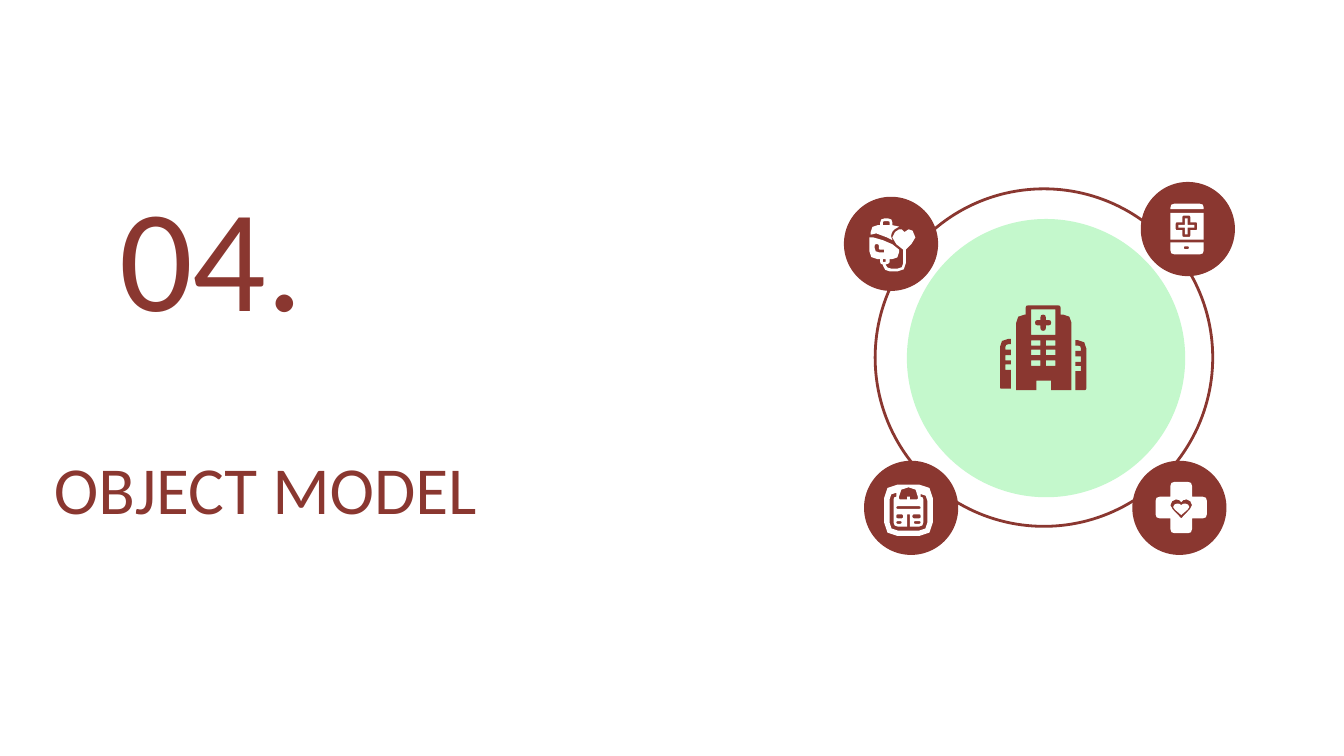
from dataclasses import dataclass
from itertools import product

from pptx import Presentation
from pptx.dml.color import RGBColor
from pptx.enum.shapes import MSO_SHAPE
from pptx.enum.text import MSO_ANCHOR
from pptx.util import Cm, Pt

BROWN, MINT, WHITE = "8A3730", "C4F8CC", "FFFFFF"
BADGE = 1.78


@dataclass
class Box:
    """A region of the slide in centimetres."""
    left: float
    top: float
    width: float
    height: float


def color(value):
    """Return the colour of a hex string."""
    return RGBColor.from_string(value)


def style(shape, fill=None, line=None):
    """Set the fill and line of a shape and remove its shadow."""
    shape.shadow.inherit = False
    if fill:
        shape.fill.solid()
        shape.fill.fore_color.rgb = color(fill)
    else:
        shape.fill.background()
    if line:
        shape.line.color.rgb = color(line)
        shape.line.width = Pt(1.5)
    else:
        shape.line.fill.background()


def add_circle(slide, box, fill=None, line=None):
    """Add an ellipse that fills the box."""
    shape = slide.shapes.add_shape(
        MSO_SHAPE.OVAL, Cm(box.left), Cm(box.top), Cm(box.width), Cm(box.height))
    style(shape, fill, line)


def toward(start, end, distance):
    """Return the point at a distance from start on the way to end."""
    x, y = end[0] - start[0], end[1] - start[1]
    share = distance / (x * x + y * y) ** 0.5
    return start[0] + x * share, start[1] + y * share


def smooth(corners):
    """Return an outline in which each corner with a radius is rounded."""
    points = []
    for index, (x, y, *radius) in enumerate(corners):
        if not radius:
            points.append((x, y))
            continue
        before = toward((x, y), corners[index - 1], radius[0])
        after = toward((x, y), corners[(index + 1) % len(corners)], radius[0])
        middle = tuple((a + 2 * b + c) / 4 for a, b, c in zip(before, (x, y), after))
        points += [before, middle, after]
    return points


def block(x, y, width, height, radius=0):
    """Return the corners of a rectangle."""
    rounding = (radius,) if radius else ()
    return [(x, y, *rounding), (x + width, y, *rounding),
            (x + width, y + height, *rounding), (x, y + height, *rounding)]


def cross(x, y, reach, arm, radius=0):
    """Return the corners of a cross around a centre, with rounded tips."""
    rounding = (radius,) if radius else ()
    corners, ahead, side = [], (0, -1), (1, 0)
    for _ in range(4):
        for along, across, *tip in ((reach, -arm, *rounding), (reach, arm, *rounding), (arm, arm)):
            corners.append((x + along * ahead[0] + across * side[0],
                            y + along * ahead[1] + across * side[1], *tip))
        ahead, side = side, (-ahead[0], -ahead[1])
    return corners


def heart(x, y, width, height):
    """Return the corners of a heart."""
    half = [(0.5, 0.14), (0.4, 0.03), (0.25, 0), (0.08, 0.09), (0, 0.3), (0.1, 0.52), (0.5, 1)]
    whole = half + [(1 - across, down) for across, down in half[-2:0:-1]]
    return [(x + width * across, y + height * down) for across, down in whole]


def add_outline(slide, box, columns, contours, fill):
    """Add one outline with holes on a square grid that spans the box width."""
    unit = box.width / columns
    builder = None
    for contour in contours:
        start, *rest = [(Cm(box.left + x * unit), Cm(box.top + y * unit))
                        for x, y in smooth(contour)]
        if builder is None:
            builder = slide.shapes.build_freeform(*start)
        else:
            builder.move_to(*start)
        builder.add_line_segments(rest, close=True)
    style(builder.convert_to_shape(), fill)


def draw_heart_cross(slide, box):
    """Draw the cross with a heart."""
    add_outline(slide, box, 38, [heart(13, 16, 12, 8.5)], WHITE)
    add_outline(slide, box, 38, [cross(19, 19, 19, 8, 3), heart(11, 13, 16, 14)], WHITE)


def draw_hospital(slide, box):
    """Draw the hospital building."""
    wing = [(0, 25, 6), (8, 25), (8, 29), (4, 29, 2), (4, 33), (8, 33), (8, 37), (4, 37),
            (4, 41), (8, 41), (8, 44), (4, 44), (4, 48), (8, 48), (8, 62), (0, 62, 1)]
    other_wing = [(64 - x, y + 1, *radius) for x, y, *radius in wing]
    tower = [(19, 0, 2), (45, 0, 2), (45, 7), (53, 7, 6), (53, 63), (38, 63), (38, 56),
             (27, 56), (27, 63), (12, 63), (12, 7, 6), (19, 7)]
    windows = [block(x, y, 7, 4) for x, y in product((23, 34), (26, 33, 41))]
    for contours in ([cross(32, 13, 6, 2, 2)], [wing], [other_wing],
                     [tower, block(23, 3, 18, 19)] + windows):
        add_outline(slide, box, 64, contours, BROWN)


def draw_phone(slide, box):
    """Draw the phone with a medical cross."""
    top = [(0, 0, 3), (25, 0, 3), (25, 4), (0, 4)]
    bottom = [(0, 29), (25, 29), (25, 38, 3), (0, 38, 3)]
    for contours in ([top], [cross(12, 17, 6, 1)], [bottom, block(10, 32, 4, 2, 1)],
                     [block(0, 7, 25, 20), cross(12, 17, 8, 3, 1)]):
        add_outline(slide, box, 25, contours, WHITE)


def draw_medical_bag(slide, box):
    """Draw the bag with a tube and a heart."""
    body = [(26, 10), (24, 8), (22, 8), (19, 10), (17, 14), (20, 19), (25, 23), (25, 37, 4),
            (13, 37, 3), (12, 34), (15, 33, 1), (15, 30), (22, 30, 5), (22, 23), (17, 19),
            (10, 16), (3, 14), (0, 14), (0, 30, 6), (8, 30), (8, 34, 2), (10, 34),
            (11, 39, 4), (27, 39, 6), (27, 23), (31, 19), (34, 14), (32, 9), (29, 8)]
    smile = [(4, 19, 1), (7, 19, 1), (7, 23, 1), (11, 23), (11, 25), (4, 25, 3)]
    lid = [(8, 0, 3), (17, 0, 3), (17, 5), (22, 6), (17, 9, 2), (16, 13), (17, 16),
           (13, 14), (5, 11), (1, 12), (1, 5, 5), (8, 5)]
    handle = [(10, 2, 1), (15, 2, 1), (15, 5), (10, 5)]
    add_outline(slide, box, 34, [body, smile, block(10, 30, 2, 2)], WHITE)
    add_outline(slide, box, 34, [lid, handle], WHITE)


def draw_scale(slide, box):
    """Draw the weighing scale."""
    dial = [(11, 2, 7), (25, 2, 7), (25, 11, 1), (19, 11), (19, 9), (17, 9), (17, 11),
            (11, 11, 1)]
    frame = [(9, 6), (9, 9), (7, 9, 2), (7, 31, 3), (17, 31), (17, 22), (19, 22), (19, 31),
             (29, 31, 3), (29, 9, 2), (27, 9), (27, 7), (32, 7, 5), (32, 34, 6),
             (4, 34, 6), (4, 6, 5)]
    bars = [block(*place, 1) for place in ((9, 16, 18, 2), (9, 22, 5, 3), (21, 22, 6, 3),
                                           (9, 27, 4, 2), (22, 27, 5, 2))]
    add_outline(slide, box, 36, [block(0, 0, 36, 38, 10), dial, frame] + bars, WHITE)


def draw_emblem(slide, box):
    """Draw the ring, the disc, the badges and the icons."""
    def part(x, y, width, height):
        """Return a box at an offset from the emblem."""
        return Box(box.left + x, box.top + y, width, height)

    add_circle(slide, box, line=BROWN)
    add_circle(slide, part(0.6, 0.57, 5.26, 5.26), MINT)
    for x, y in ((5.02, -0.13), (-0.59, 0.15), (4.86, 5.14), (-0.21, 5.14)):
        add_circle(slide, part(x, y, BADGE, BADGE), BROWN)
    draw_heart_cross(slide, part(5.3, 5.54, 0.97, 0.97))
    draw_hospital(slide, part(2.36, 2.2, 1.63, 1.6))
    draw_phone(slide, part(5.58, 0.28, 0.63, 0.97))
    draw_medical_bag(slide, part(-0.11, 0.56, 0.87, 0.99))
    draw_scale(slide, part(0.17, 5.59, 0.92, 0.97))


def add_heading(slide, box, text, size, anchor):
    """Add one heading in the box."""
    shape = slide.shapes.add_textbox(
        Cm(box.left), Cm(box.top), Cm(box.width), Cm(box.height))
    frame = shape.text_frame
    frame.word_wrap = True
    frame.vertical_anchor = anchor
    frame.margin_left = frame.margin_right = Cm(0.25)
    frame.margin_top = frame.margin_bottom = Cm(0.25)
    frame.text = text
    font = frame.paragraphs[0].runs[0].font
    font.name, font.size = "Calibri", Pt(size)
    font.color.rgb = color(BROWN)


def main():
    """Build the section slide."""
    presentation = Presentation()
    presentation.slide_width, presentation.slide_height = Cm(25.4), Cm(14.29)
    slide = presentation.slides.add_slide(presentation.slide_layouts[6])
    add_heading(slide, Box(0.77, 5.9, 11.25, 6.63), "OBJECT MODEL", 36, MSO_ANCHOR.MIDDLE)
    add_heading(slide, Box(2, 2.79, 8.46, 3.89), "04.", 78, MSO_ANCHOR.BOTTOM)
    draw_emblem(slide, Box(16.54, 3.57, 6.38, 6.38))
    presentation.save("out.pptx")


if __name__ == "__main__":
    main()
